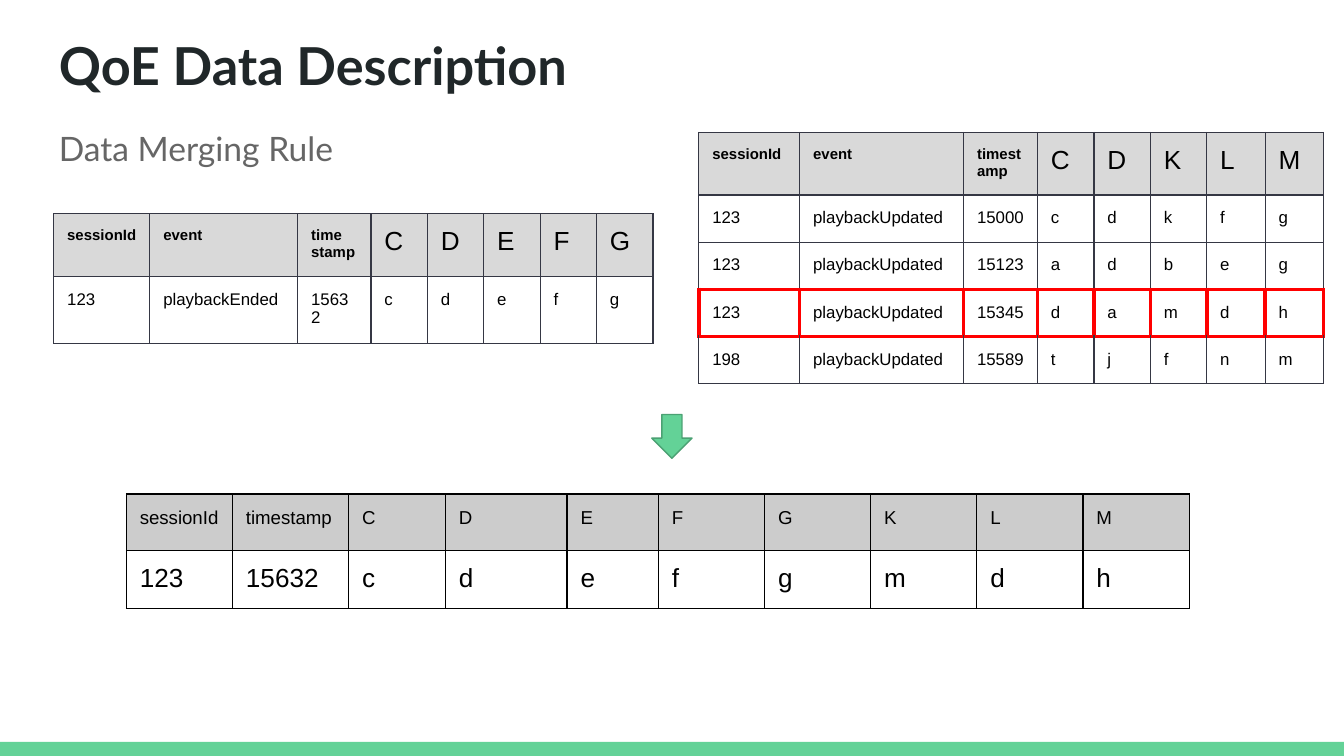
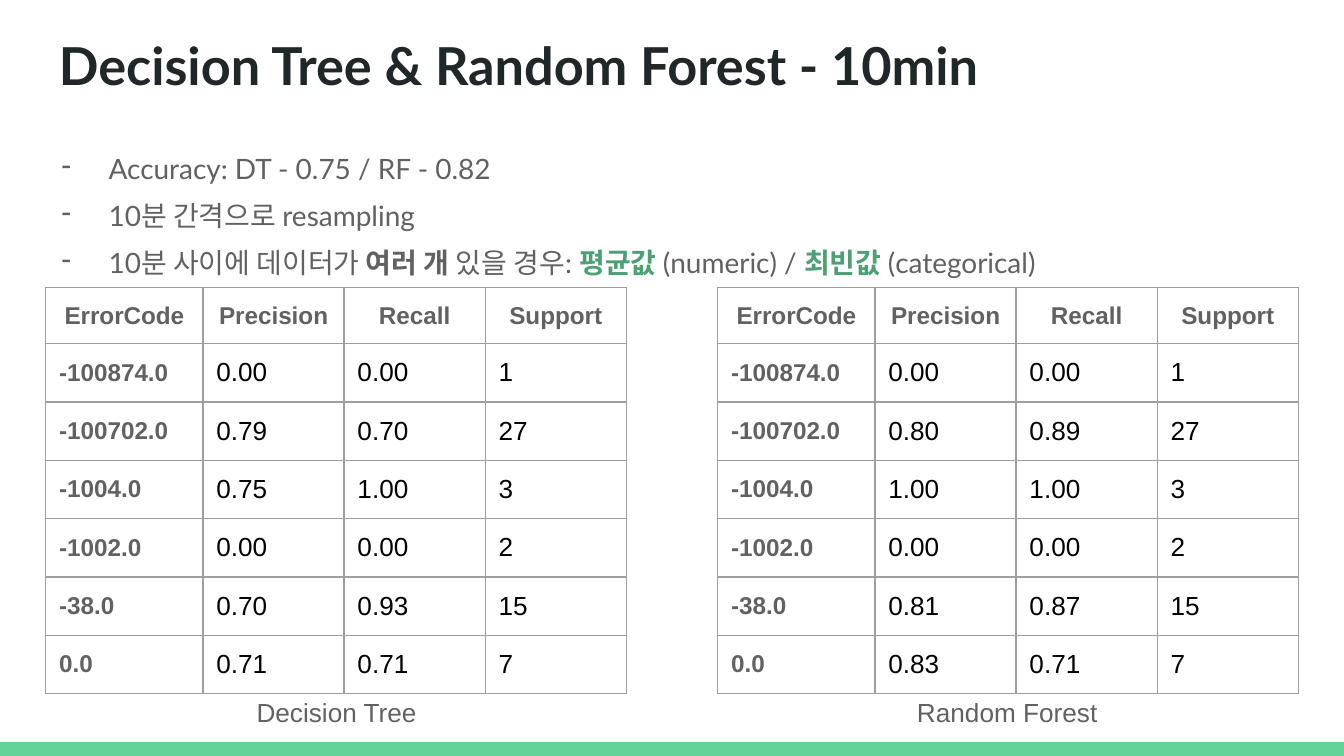
from dataclasses import dataclass

from lxml import etree
from pptx import Presentation
from pptx import util as u
from pptx.dml.color import RGBColor
from pptx.enum import shapes, text
from pptx.oxml.ns import qn


@dataclass(frozen=True)
class Theme:
    head_face: str = "Lato"
    cell_face: str = "Arial"
    green: str = "63D297"
    dark_green: str = "4BA173"
    title: str = "202729"
    subtitle: str = "666666"
    grey: str = "616161"
    black: str = "000000"
    red: str = "FF0000"
    input_fill: str = "D9D9D9"
    merged_fill: str = "CCCCCC"
    input_line: str = "353744"
    score_line: str = "9E9E9E"
    title_size: int = 28
    subtitle_size: int = 18
    body_size: int = 15
    big: int = 14
    score_head: int = 13
    merged_head: int = 10
    small: int = 9
    tiny: int = 8
    thin: float = 0.75
    thick: float = 2.25


T = Theme()
PX = 4572
INSET = 20 * PX
LEFT, CENTER = text.PP_ALIGN.LEFT, text.PP_ALIGN.CENTER
TOP, MIDDLE = text.MSO_ANCHOR.TOP, text.MSO_ANCHOR.MIDDLE


def add_runs(p, runs, face):
    for words, size, color, bold in runs:
        for i, line in enumerate(words.split("\n")):
            if i:
                p.add_line_break()
                br = p._p.findall(qn("a:br"))[-1]
                etree.SubElement(br, qn("a:rPr"), sz=str(size * 100))
            r = p.add_run()
            r.text = line
            r.font.name = face
            r.font.size = u.Pt(size)
            r.font.bold = bold
            r.font.color.rgb = RGBColor.from_string(color)


def add_table(s, left, top, cols, heights, rows, line, style, anchor=TOP, hot=None):
    box = [v * PX for v in (left, top, sum(cols), sum(heights))]
    tbl = s.shapes.add_table(len(rows), len(cols), *box).table
    tbl.first_row = tbl.horz_banding = False
    for col, w in zip(tbl.columns, cols):
        col.width = w * PX
    for row, h in zip(tbl.rows, heights):
        row.height = h * PX
    for i, row in enumerate(rows):
        for j, words in enumerate(row):
            size, color, bold, fill, align = style(i, j)
            cell = tbl.cell(i, j)
            cell.margin_left = cell.margin_right = INSET
            cell.margin_top = cell.margin_bottom = INSET
            cell.vertical_anchor = anchor
            tcPr = cell._tc.get_or_add_tcPr()
            for side, shared in (("L", i), ("R", i), ("T", i - 1), ("B", i + 1)):
                marked = hot is not None and hot in (i, shared)
                width = T.thick if marked else T.thin
                ln = etree.SubElement(tcPr, qn(f"a:ln{side}"), w=str(int(u.Pt(width))))
                solid = etree.SubElement(ln, qn("a:solidFill"))
                etree.SubElement(solid, qn("a:srgbClr"), val=T.red if marked else line)
            if fill:
                cell.fill.solid()
                cell.fill.fore_color.rgb = RGBColor.from_string(fill)
            else:
                cell.fill.background()
            p = cell.text_frame.paragraphs[0]
            p.alignment = align
            add_runs(p, [(words, size, color, bold)], T.cell_face)


prs = Presentation()
prs.slide_width, prs.slide_height = 2000 * PX, 1125 * PX
merge, scores = [prs.slides.add_slide(prs.slide_layouts[6]) for _ in range(2)]

for s in (merge, scores):
    band = s.shapes.add_shape(shapes.MSO_SHAPE.RECTANGLE, 0, 1104 * PX, 2000 * PX, 21 * PX)
    band.shadow.inherit = False
    band.fill.solid()
    band.fill.fore_color.rgb = RGBColor.from_string(T.green)
    band.line.fill.background()

body = (T.body_size, T.grey, False)
strong = (T.body_size, T.grey, True)
accent = (T.body_size, T.dark_green, True)
rules = [
    [("Accuracy: DT - 0.75 / RF - 0.82", *body)],
    [("10분 간격으로 resampling", *body)],
    [
        ("10분 사이에 데이터가 ", *body),
        ("여러 개", *strong),
        (" 있을 경우: ", *body),
        ("평균값", *accent),
        (" (numeric) / ", *body),
        ("최빈값", *accent),
        (" (categorical)", *body),
    ],
]
title = (T.title_size, T.title, True)
subtitle = (T.subtitle_size, T.subtitle, False)
caption = (T.big, T.grey, False)
title_box = (68, 30, 1864, 126)
texts = [
    (merge, title_box, T.head_face, TOP, LEFT, [[("QoE Data Description", *title)]]),
    (merge, (68, 170, 466, 70), T.head_face, TOP, LEFT, [[("Data Merging Rule", *subtitle)]]),
    (scores, title_box, T.head_face, TOP, LEFT, [[("Decision Tree & Random Forest - 10min", *title)]]),
    (scores, (42, 186, 1912, 214), T.head_face, TOP, LEFT, rules),
    (scores, (334, 1038, 334, 44), T.cell_face, MIDDLE, CENTER, [[("Decision Tree", *caption)]]),
    (scores, (1332, 1038, 334, 44), T.cell_face, MIDDLE, CENTER, [[("Random Forest", *caption)]]),
]
for s, box, face, anchor, align, paragraphs in texts:
    tf = s.shapes.add_textbox(*[v * PX for v in box]).text_frame
    tf.word_wrap = True
    tf.vertical_anchor = anchor
    tf.margin_left = tf.margin_right = tf.margin_top = tf.margin_bottom = INSET
    for i, runs in enumerate(paragraphs):
        p = tf.add_paragraph() if i else tf.paragraphs[0]
        p.alignment = align
        if paragraphs is rules:
            pPr = p._p.get_or_add_pPr()
            pPr.set("marL", str(100 * PX))
            pPr.set("indent", str(-70 * PX))
            clr = etree.SubElement(pPr, qn("a:buClr"))
            etree.SubElement(clr, qn("a:srgbClr"), val=T.grey)
            etree.SubElement(pPr, qn("a:buChar"), char="-")
            p.line_spacing = 1.4
        add_runs(p, runs, face)


def_input = {
    (True, True): (T.tiny, T.black, True, T.input_fill, LEFT),
    (True, False): (T.big, T.black, False, T.input_fill, LEFT),
}
input_cell = (T.small, T.black, False, None, LEFT)
input_style = lambda i, j: def_input.get((i == 0, j < 3), input_cell)

ended = [
    ["sessionId", "event", "time\nstamp", *"CDEFG"],
    ["123", "playbackEnded", "15632", *"cdefg"],
]
add_table(merge, 80, 318, [143, 220, 109] + [84] * 5, [90, 69], ended, T.input_line, input_style)

updates = [("123", "15000", "cdkfg"), ("123", "15123", "adbeg"),
           ("123", "15345", "damdh"), ("198", "15589", "tjfnm")]
updated = [["sessionId", "event", "timestamp", *"CDKLM"]]
updated += [[session, "playbackUpdated", stamp, *values] for session, stamp, values in updates]
add_table(merge, 1040, 197, [150, 244, 110, 84, 84, 84, 87, 87], [90] + [69] * 4,
          updated, T.input_line, input_style, hot=3)

arrow = merge.shapes.add_shape(shapes.MSO_SHAPE.DOWN_ARROW, 970 * PX, 617 * PX, 60 * PX, 65 * PX)
arrow.shadow.inherit = False
arrow.fill.solid()
arrow.fill.fore_color.rgb = RGBColor.from_string(T.green)
arrow.line.color.rgb = RGBColor.from_string(T.dark_green)
arrow.line.width = u.Pt(T.thin)

merged = [["sessionId", "timestamp", *"CDEFGKLM"], ["123", "15632", *"cdefgmdh"]]
merged_styles = [(T.merged_head, T.black, False, T.merged_fill, LEFT),
                 (T.big, T.black, False, None, LEFT)]
add_table(merge, 188, 735, [158, 173, 144, 181, 136] + [158] * 5, [84, 84], merged,
          T.black, lambda i, j: merged_styles[i])

codes = ["-100874.0", "-100702.0", "-1004.0", "-1002.0", "-38.0", "0.0"]
support = ["1", "27", "3", "2", "15", "7"]
models = [
    (68, ["0.00", "0.79", "0.75", "0.00", "0.70", "0.71"],
     ["0.00", "0.70", "1.00", "0.00", "0.93", "0.71"]),
    (1068, ["0.00", "0.80", "1.00", "0.00", "0.81", "0.83"],
     ["0.00", "0.89", "1.00", "0.00", "0.87", "0.71"]),
]
score_cell = (T.big, T.black, False, None, LEFT)
for left, precision, recall in models:
    rows = [["ErrorCode", "Precision", "Recall", "Support"], *zip(codes, precision, recall, support)]
    add_table(scores, left, 428, [234, 210, 210, 210], [80, 84, 84, 84, 84, 86, 84], rows, T.score_line,
              lambda i, j: score_cell if i and j else (T.score_head, T.grey, True, None, LEFT if i else CENTER),
              anchor=MIDDLE)

prs.save("out.pptx")
